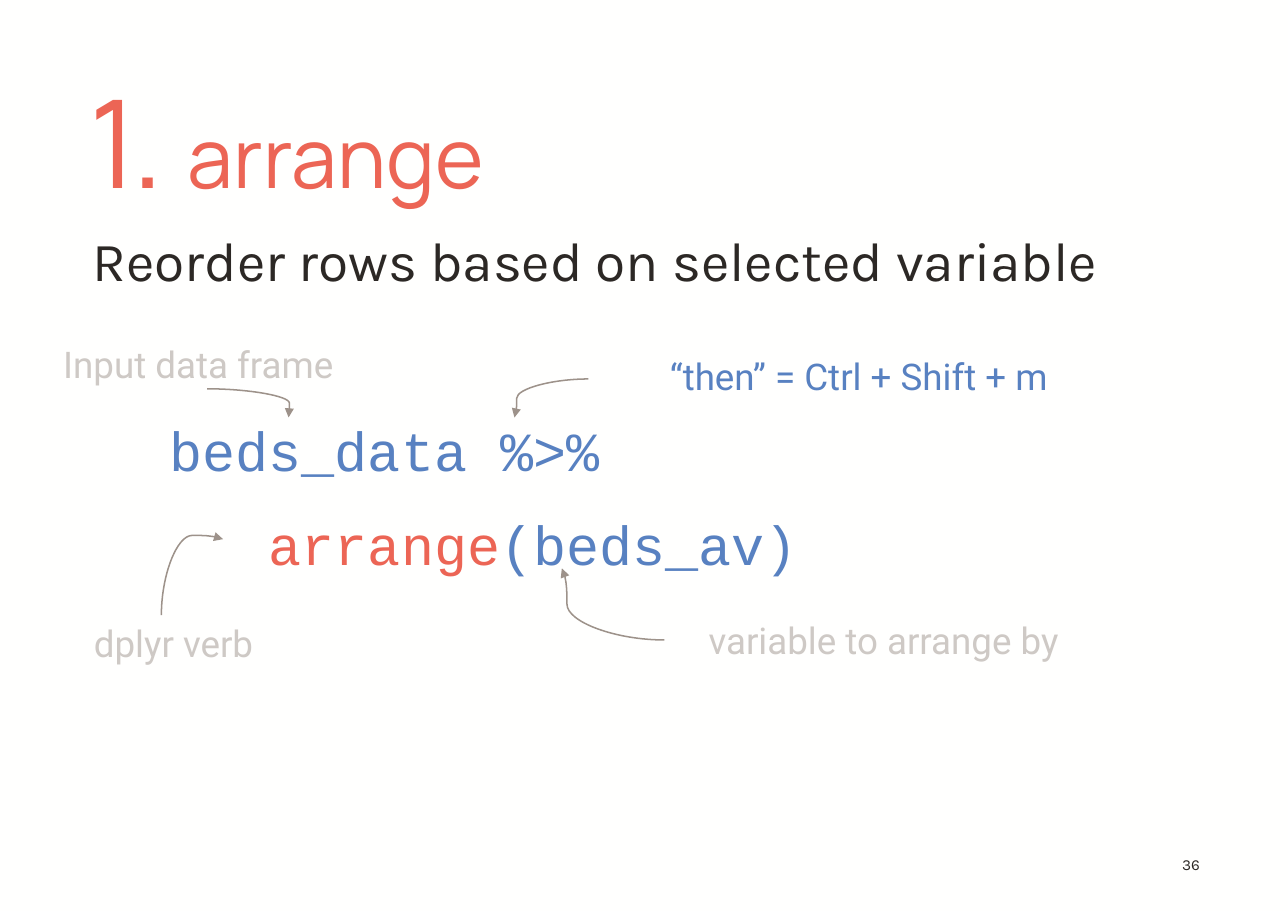
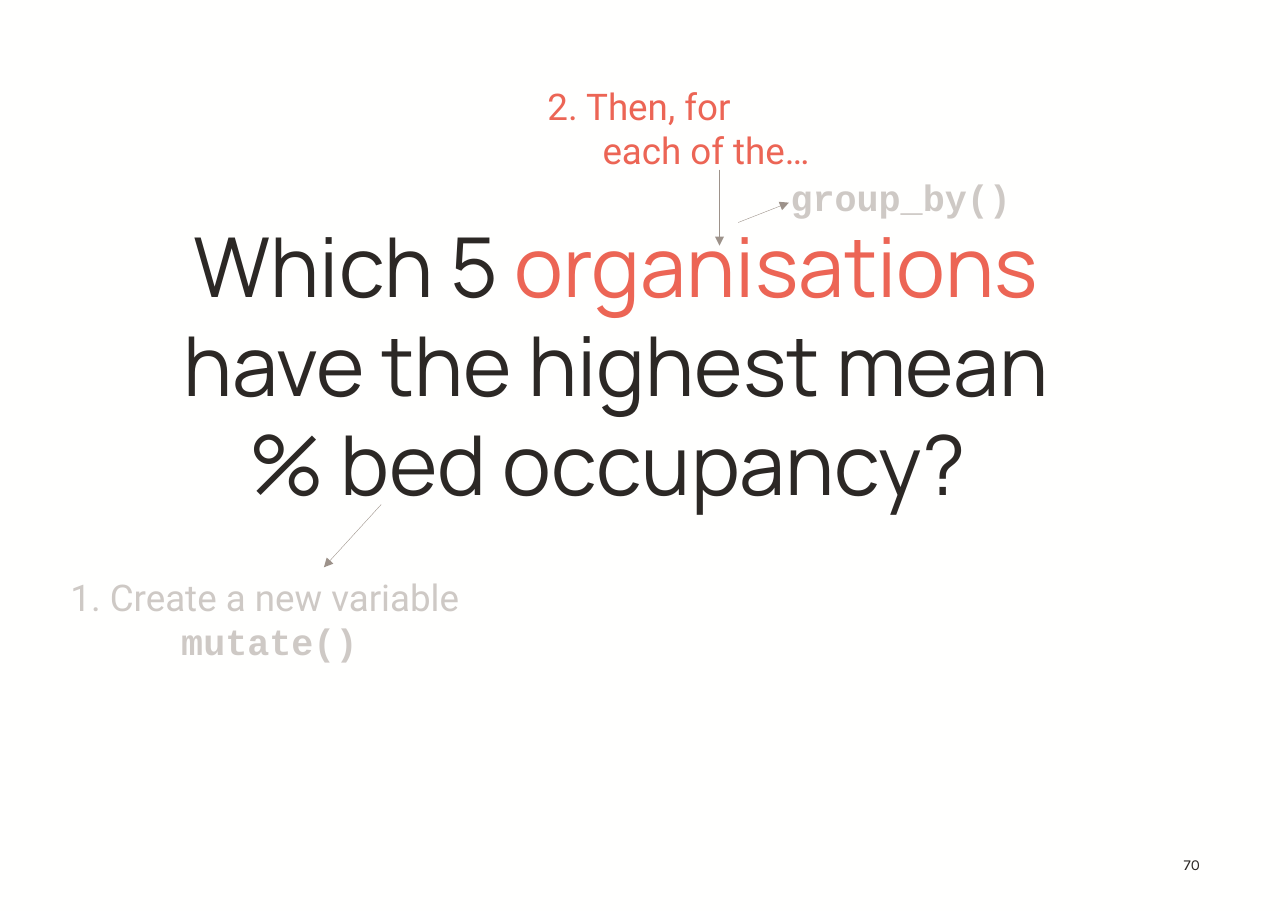
from lxml import etree
from pptx import Presentation
from pptx import util as u
from pptx.dml import color
from pptx.enum import shapes, text
from pptx.oxml import ns

PAPER, INK, CORAL = "FFFFFE", "2C2825", "EC6555"
BLUE, PALE, TAUPE = "5881C1", "CEC9C5", "9D928A"
HEADING, BODY, LABEL, CODE = "Manrope", "Karla", "Roboto", "Courier New"
LEFT, CENTER, RIGHT = text.PP_ALIGN.LEFT, text.PP_ALIGN.CENTER, text.PP_ALIGN.RIGHT
TITLE_ONLY, TITLE_AND_BODY = 5, 1


def rgb(value):
    """Turn a hex string into a colour."""
    return color.RGBColor.from_string(value)


def place(shape, left, top, width, height):
    """Move and size a shape, in inches."""
    shape.left, shape.top = u.Inches(left), u.Inches(top)
    shape.width, shape.height = u.Inches(width), u.Inches(height)


def set_frame(frame, anchor, inset_x=0.08, inset_y=0.08):
    """Set wrapping, anchor and insets of a text frame."""
    frame.word_wrap = True
    frame.auto_size = text.MSO_AUTO_SIZE.NONE
    frame.vertical_anchor = anchor
    frame.margin_left = frame.margin_right = u.Inches(inset_x)
    frame.margin_top = frame.margin_bottom = u.Inches(inset_y)


def write_spans(para, spans, align=LEFT, indent=0):
    """Fill a paragraph with (text, font, size, colour, bold) spans."""
    para.alignment = align
    properties = para._p.get_or_add_pPr()
    properties.set("marL", str(u.Inches(indent)))
    properties.set("indent", "0")
    for content, font, size, hue, bold in spans:
        span = para.add_run()
        span.text = content
        span.font.name, span.font.size = font, u.Pt(size)
        span.font.bold = bold
        span.font.color.rgb = rgb(hue)


def add_paragraph(frame, first):
    """Return the first paragraph of a frame, or a new one."""
    return frame.paragraphs[0] if first else frame.add_paragraph()


def set_title(slide, position, spans, align=LEFT):
    """Place and fill the title placeholder."""
    title = slide.shapes.title
    place(title, *position)
    set_frame(title.text_frame, text.MSO_ANCHOR.BOTTOM)
    write_spans(title.text_frame.paragraphs[0],
                [(content, HEADING, size, hue, False) for content, size, hue in spans], align)


def set_body(slide, position, lines):
    """Fill the body placeholder with (spans, indent, space before) lines."""
    body = slide.placeholders[1]
    place(body, *position)
    set_frame(body.text_frame, text.MSO_ANCHOR.TOP)
    for index, (spans, indent, before) in enumerate(lines):
        para = add_paragraph(body.text_frame, index == 0)
        para.line_spacing = 1.2
        para.space_before, para.space_after = u.Pt(before), u.Pt(10)
        etree.SubElement(para._p.get_or_add_pPr(), ns.qn("a:buNone"))
        write_spans(para, [(content, font, 36, hue, False) for content, font, hue in spans],
                    LEFT, indent)


def add_label(slide, position, lines, hue=PALE, align=CENTER):
    """Add a text box of (text, font, indent) lines; code is bold."""
    box = slide.shapes.add_textbox(0, 0, 0, 0)
    place(box, *position)
    set_frame(box.text_frame, text.MSO_ANCHOR.TOP, 0.1, 0.05)
    for index, (content, font, indent) in enumerate(lines):
        para = add_paragraph(box.text_frame, index == 0)
        write_spans(para, [(content, font, 24, hue, font == CODE)], align, indent)


def add_page_number(slide, number):
    """Add the page number at the lower right."""
    box = slide.shapes.add_textbox(0, 0, 0, 0)
    place(box, 10.18, 7.68, 0.79, 0.4)
    set_frame(box.text_frame, text.MSO_ANCHOR.TOP)
    write_spans(box.text_frame.paragraphs[0], [(str(number), BODY, 10, INK, False)], RIGHT)


def add_arrow(slide, start, end, weight, bend=None, turn=0):
    """Add an arrow, curved if a bend is given, turned by degrees."""
    kind = shapes.MSO_CONNECTOR.STRAIGHT if bend is None else shapes.MSO_CONNECTOR.CURVE
    arrow = slide.shapes.add_connector(kind, *(u.Inches(value) for value in start + end))
    arrow.line.color.rgb = rgb(TAUPE)
    arrow.line.width = u.Pt(weight)
    etree.SubElement(arrow.line._get_or_add_ln(), ns.qn("a:tailEnd"), type="triangle")
    properties = arrow._element.spPr
    etree.SubElement(properties, ns.qn("a:effectLst"))
    if turn:
        properties.find(ns.qn("a:xfrm")).set("rot", str(turn * 60000))
    if bend is not None:
        geometry = properties.find(ns.qn("a:prstGeom"))
        guides = geometry.find(ns.qn("a:avLst"))
        if guides is None:
            guides = etree.SubElement(geometry, ns.qn("a:avLst"))
        etree.SubElement(guides, ns.qn("a:gd"), name="adj1", fmla=f"val {round(bend * 100000)}")


def add_slide(deck, layout, number):
    """Add a numbered slide."""
    slide = deck.slides.add_slide(deck.slide_layouts[layout])
    add_page_number(slide, number)
    return slide


def build_arrange(deck):
    """Build the slide that explains arrange."""
    slide = add_slide(deck, TITLE_AND_BODY, 36)
    set_title(slide, (0.73, 1.22, 10.24, 0.79), [("1. ", 80, CORAL), ("arrange", 54, CORAL)])
    set_body(slide, (0.28, 1.86, 11.18, 5.82), [
        ([("Reorder rows based on selected variable", BODY, INK)], 0.48, 0),
        ([("beds_data %>%", CODE, BLUE)], 1.18, 62),
        ([("   arrange", CODE, CORAL), ("(beds_av)", CODE, BLUE)], 1.18, 0),
    ])
    for content, position, hue in [
        ("“then” = Ctrl + Shift + m", (4.71, 3.16, 6.17, 0.5), BLUE),
        ("Input data frame", (0.19, 3.05, 3.22, 0.5), PALE),
        ("dplyr verb", (-0.32, 5.59, 3.79, 0.5), PALE),
        ("variable to arrange by", (5.19, 5.56, 5.66, 0.5), PALE),
    ]:
        add_label(slide, position, [(content, LABEL, 0)], hue)
    for start, end, bend, turn in [
        ((1.88, 3.53), (2.62, 3.79), 1.01, 0),
        ((2.09, 5.52), (1.4, 4.96), 1.05, 90),
        ((5.34, 3.44), (4.67, 3.79), 0.97, 0),
        ((6.03, 5.81), (5.1, 5.16), 0.95, 0),
    ]:
        add_arrow(slide, start, end, 1, bend, turn)


def build_question(deck):
    """Build the slide that splits the question into steps."""
    slide = add_slide(deck, TITLE_ONLY, 70)
    set_title(slide, (1.38, 3.46, 8.42, 1.27), [
        ("Which 5 ", 54, INK), ("organisations", 54, CORAL),
        (" have the highest mean % bed occupancy? ", 54, INK)], CENTER)
    add_label(slide, (0.17, 5.17, 4.55, 0.91),
              [("1. Create a new variable ", LABEL, 0), ("mutate()", CODE, 0)])
    add_label(slide, (4.87, 0.71, 3.08, 1.31),
              [("2. Then, for", LABEL, 0), ("each of the…", LABEL, 0.5)], CORAL, LEFT)
    add_label(slide, (5.9, 1.54, 4.55, 0.5), [("group_by()", CODE, 0)])
    for start, end in [
        ((3.46, 4.58), (2.94, 5.15)),
        ((6.53, 1.54), (6.53, 2.23)),
        ((6.7, 2.02), (7.16, 1.84)),
    ]:
        add_arrow(slide, start, end, 0.25)


def main():
    """Build and save the deck."""
    deck = Presentation()
    deck.slide_width, deck.slide_height = u.Inches(11.69), u.Inches(8.27)
    backdrop = deck.slide_master.background.fill
    backdrop.solid()
    backdrop.fore_color.rgb = rgb(PAPER)
    build_arrange(deck)
    build_question(deck)
    deck.save("out.pptx")


if __name__ == "__main__":
    main()
